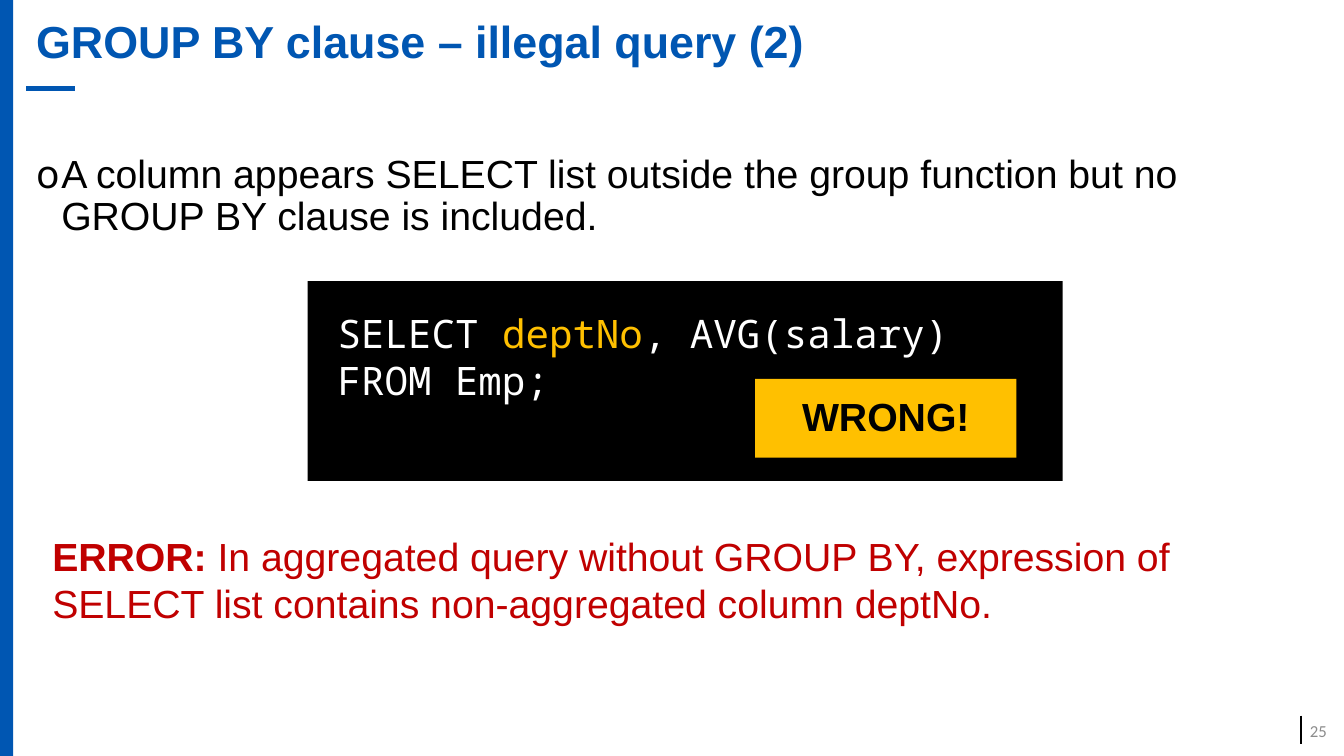
from lxml.etree import SubElement
from pptx import Presentation
from pptx.dml.color import RGBColor
from pptx.enum.shapes import MSO_CONNECTOR, MSO_SHAPE
from pptx.enum.text import MSO_ANCHOR, PP_ALIGN
from pptx.oxml.ns import qn
from pptx.util import Inches, Pt

WIDTH, HEIGHT = Inches(13.33), Inches(7.5)
COLORS = {"blue": "0056B2", "black": "000000", "white": "FFFFFF",
          "amber": "FFC000", "red": "C00000", "gray": "8C8C8C"}
SANS, MONO, NUMBER = "Arial", "Noto Sans Mono", "Calibri"


def color(name):
    return RGBColor.from_string(COLORS[name])


def across(percent):
    return round(WIDTH * percent / 100)


def down(percent):
    return round(HEIGHT * percent / 100)


def place(left, top, width, height):
    """Turn percentages of the slide into lengths."""
    return across(left), down(top), across(width), down(height)


def add_block(page, area, fill):
    block = page.shapes.add_shape(MSO_SHAPE.RECTANGLE, *place(*area))
    block.shadow.inherit = False
    block.fill.solid()
    block.fill.fore_color.rgb = color(fill)
    block.line.fill.background()
    return block


def add_rule(page, start, end, ink, weight):
    rule = page.shapes.add_connector(
        MSO_CONNECTOR.STRAIGHT, across(start[0]), down(start[1]),
        across(end[0]), down(end[1]))
    rule.line.color.rgb = color(ink)
    rule.line.width = Pt(weight)
    SubElement(rule._element.spPr, qn("a:effectLst"))


def add_box(page, area):
    return page.shapes.add_textbox(*place(*area))


def write(box, lines, size=28, font=SANS, anchor=MSO_ANCHOR.TOP,
          align=PP_ALIGN.LEFT, spacing=1.0, before=0):
    """Each line is a list of (text, colour, bold) spans."""
    frame = box.text_frame
    frame.word_wrap = True
    frame.vertical_anchor = anchor
    for index, spans in enumerate(lines):
        para = frame.add_paragraph() if index else frame.paragraphs[0]
        para.alignment = align
        para.line_spacing = spacing
        para.space_before = Pt(before)
        for text, ink, bold in spans:
            span = para.add_run()
            span.text = text
            span.font.name = font
            span.font.size = Pt(size)
            span.font.bold = bold
            span.font.color.rgb = color(ink)
    return frame.paragraphs


def indent(para, margin, first=0, bullet=None):
    properties = para._p.get_or_add_pPr()
    properties.set("marL", str(Inches(margin)))
    properties.set("indent", str(Inches(first)))
    if bullet:
        SubElement(properties, qn("a:buFont"), typeface=MONO)
        SubElement(properties, qn("a:buChar"), char=bullet)


def add_frame(page):
    # Side band, title underline and page number
    add_block(page, (0, 0, 0.98, 100), "blue")
    add_rule(page, (96.77, 94.67), (96.77, 98.4), "black", 1.5)
    add_rule(page, (5.55, 11.73), (1.95, 11.73), "blue", 4)
    write(add_box(page, (96.32, 94, 3.15, 5.33)), [[("25", "gray", False)]],
          size=12, font=NUMBER, anchor=MSO_ANCHOR.MIDDLE,
          align=PP_ALIGN.RIGHT)


def add_query(page):
    # Code panel with its verdict label
    panel = add_block(page, (22.88, 37.2, 56.19, 26.4), "black")
    panel.text_frame.margin_top = Inches(0.28)
    code = [[("SELECT ", "white", False), ("deptNo", "amber", False),
             (", AVG(salary)", "white", False)],
            [("FROM Emp;", "white", False)]]
    for para in write(panel, code, font=MONO):
        indent(para, 0.2)
    verdict = add_block(page, (56.19, 50.13, 19.43, 10.4), "amber")
    write(verdict, [[("WRONG!", "black", True)]], anchor=MSO_ANCHOR.MIDDLE,
          align=PP_ALIGN.CENTER, spacing=0.9, before=10)


def main():
    deck = Presentation()
    deck.slide_width, deck.slide_height = WIDTH, HEIGHT
    page = deck.slides.add_slide(deck.slide_layouts[6])
    add_frame(page)

    # Title
    write(add_box(page, (1.95, 0, 98.05, 11.73)),
          [[("GROUP BY clause – illegal query (2)", "blue", True)]],
          size=32, anchor=MSO_ANCHOR.MIDDLE, spacing=0.9)

    # Explanation
    rule = ("A column appears SELECT list outside the group function but no "
            "GROUP BY clause is included.")
    paras = write(add_box(page, (1.95, 19.73, 97.07, 13.33)),
                  [[(rule, "black", False)]], spacing=0.9, before=10)
    indent(paras[0], 0.25, -0.25, "o")

    add_query(page)

    # Error message
    message = (" In aggregated query without GROUP BY, expression of SELECT "
               "list contains non-aggregated column deptNo.")
    write(add_box(page, (3.15, 69.73, 93.77, 16.27)),
          [[("ERROR:", "red", True), (message, "red", False)]])

    deck.save("out.pptx")


if __name__ == "__main__":
    main()
